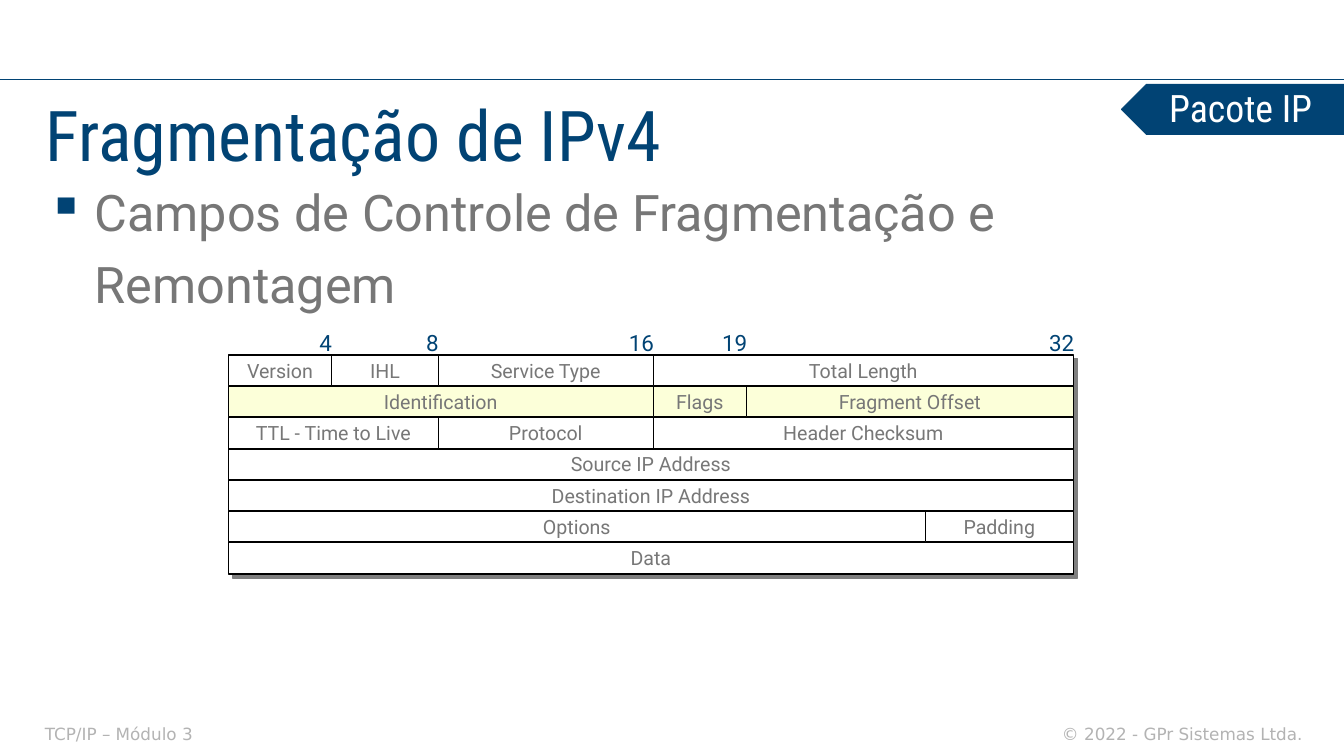
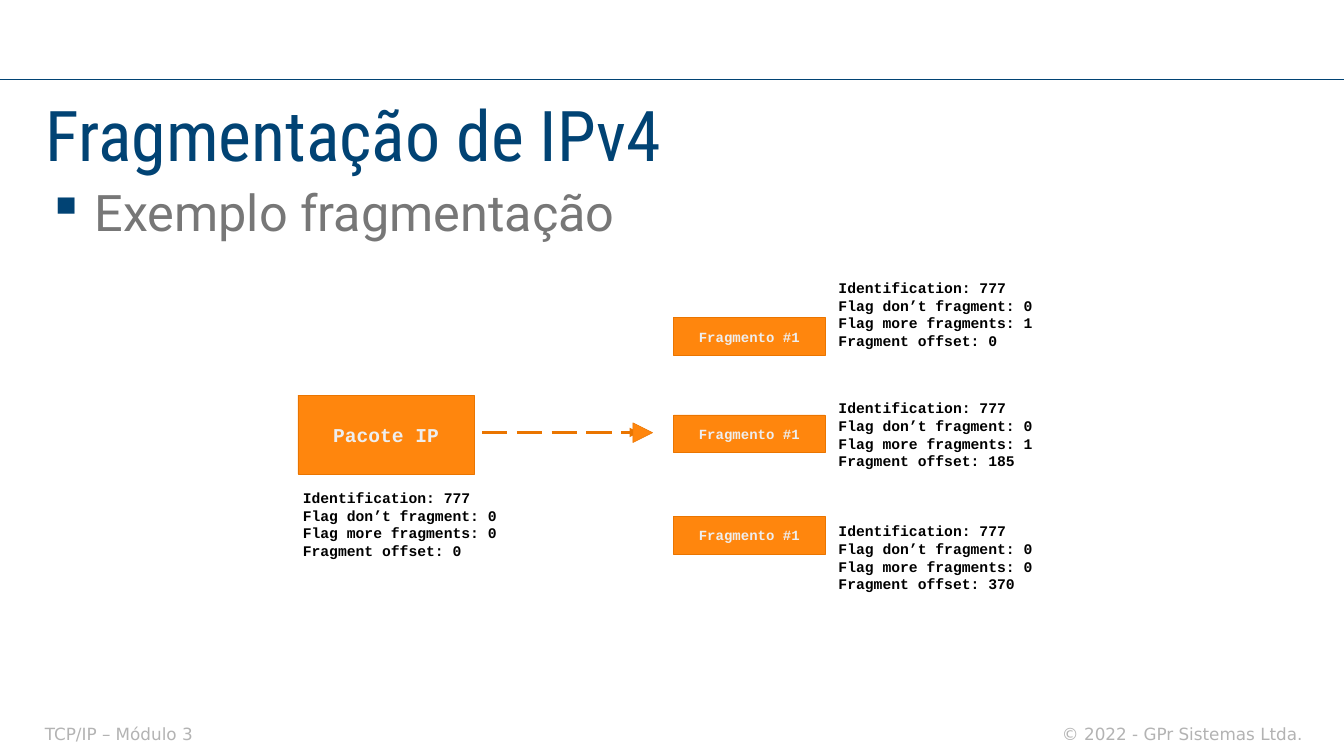
from pptx import Presentation
from pptx.dml.color import RGBColor
from pptx.enum.dml import MSO_LINE_DASH_STYLE as DASH
from pptx.enum.shapes import MSO_CONNECTOR as LINK, MSO_SHAPE as SHAPE
from pptx.enum.text import MSO_ANCHOR as ANCHOR, PP_ALIGN as ALIGN
from pptx.oxml.ns import qn
from pptx.util import Inches, Pt
from lxml.etree import SubElement

COLORS = {
    "navy": "014374", "gray": "777777", "footer": "B3B3B3", "white": "FFFFFF",
    "black": "000000", "highlight": "FCFFD9", "shadow": "7F7F7F",
    "orange": "FF860D", "orange_edge": "EA7500", "pale": "EEEEEE",
}
STYLES = {
    "title": ("Roboto Condensed", 100, "navy", False),
    "topic": ("Roboto", 72, "gray", False),
    "footer": ("DejaVu Sans", 24, "footer", False),
    "tag": ("Roboto Condensed", 54, "white", False),
    "field": ("Roboto", 28, "gray", False),
    "bit": ("Roboto", 32, "navy", False),
    "packet": ("Courier New", 28, "pale", True),
    "fragment": ("Courier New", 20, "pale", True),
    "note": ("Courier New", 21, "black", True),
}

SLIDE_W, SLIDE_H = 26.67, 15
TITLE = "Fragmentação de IPv4"
FOOTERS = [
    ("TCP/IP – Módulo 3", (0.83, 14.29, 19.08, 0.52), ALIGN.LEFT),
    ("© 2022 - GPr Sistemas Ltda.", (20.58, 14.29, 5.33, 0.52), ALIGN.RIGHT),
]

FIELDS_TOPIC = "Campos de Controle de Fragmentação e Remontagem"
TAG = "Pacote IP"
BIT_EDGES = {0: 4.53, 4: 6.58, 8: 8.7, 16: 12.96, 19: 14.81, 28: 18.36, 32: 21.3}
BIT_LABELS = [4, 8, 16, 19, 32]
HEADER_ROWS = [
    [("Version", 0, 4), ("IHL", 4, 8), ("Service Type", 8, 16), ("Total Length", 16, 32)],
    [("Identification", 0, 16), ("Flags", 16, 19), ("Fragment Offset", 19, 32)],
    [("TTL - Time to Live", 0, 8), ("Protocol", 8, 16), ("Header Checksum", 16, 32)],
    [("Source IP Address", 0, 32)],
    [("Destination IP Address", 0, 32)],
    [("Options", 0, 28), ("Padding", 28, 32)],
    [("Data", 0, 32)],
]
FRAGMENTATION_ROW = 1
ROW_TOP, ROW_PITCH, ROW_H = 7.05, 0.62, 0.6

EXAMPLE_TOPIC = "Exemplo fragmentação"
PACKET = "Pacote IP"
PACKET_BOX = (5.91, 7.84, 3.5, 1.57)
FRAGMENT = "Fragmento #1"
FRAGMENT_TOPS = [6.3, 8.23, 10.24]
NOTES = [
    (5.91, 9.65, 0, 0),
    (16.54, 5.48, 1, 0),
    (16.54, 7.87, 1, 185),
    (16.54, 10.31, 0, 370),
]


def rgb(color):
    return RGBColor.from_string(COLORS[color])


def write(shape, lines, style, align=ALIGN.LEFT, anchor=ANCHOR.TOP, inset=(0.1, 0.05)):
    frame = shape.text_frame
    side, end = map(Inches, inset)
    layout = {
        "word_wrap": True, "vertical_anchor": anchor,
        "margin_left": side, "margin_right": side,
        "margin_top": end, "margin_bottom": end,
    }
    for key, value in layout.items():
        setattr(frame, key, value)
    font_name, size, color, bold = STYLES[style]
    for i, line in enumerate(lines):
        paragraph = frame.add_paragraph() if i else frame.paragraphs[0]
        paragraph.alignment = align
        run = paragraph.add_run()
        run.text = line
        for key, value in {"name": font_name, "size": Pt(size), "bold": bold}.items():
            setattr(run.font, key, value)
        run.font.color.rgb = rgb(color)
    return frame


def add_text(slide, box, lines, style, **layout):
    return write(slide.shapes.add_textbox(*map(Inches, box)), lines, style, **layout)


def add_box(slide, box, fill, line, width, kind=SHAPE.RECTANGLE):
    shape = slide.shapes.add_shape(kind, *map(Inches, box))
    shape.shadow.inherit = False
    shape.fill.solid()
    shape.fill.fore_color.rgb = rgb(fill)
    shape.line.color.rgb = rgb(line)
    shape.line.width = Pt(width)
    return shape


def add_line(slide, start, end, color, width):
    line = slide.shapes.add_connector(LINK.STRAIGHT, *map(Inches, start + end))
    line.line.color.rgb = rgb(color)
    line.line.width = Pt(width)
    SubElement(line._element.spPr, qn("a:effectLst"))
    return line


def add_base(deck, topic, topic_h):
    slide = deck.slides.add_slide(deck.slide_layouts[6])
    add_line(slide, (0, 1.58), (SLIDE_W, 1.58), "navy", 2)
    for text, box, align in FOOTERS:
        add_text(slide, box, [text], "footer", align=align, anchor=ANCHOR.MIDDLE,
                 inset=(0.06, 0.06))
    add_text(slide, (0.84, 1.75, 25.01, 1.8), [TITLE], "title", inset=(0.06, 0.06))
    frame = add_text(slide, (0.84, 3.3, 25.01, topic_h), [topic], "topic")
    paragraph = frame.paragraphs[0]
    properties = paragraph._p.get_or_add_pPr()
    properties.set("marL", str(Inches(0.94)))
    properties.set("indent", str(Inches(-0.94)))
    bullet_color = SubElement(properties, qn("a:buClr"))
    SubElement(bullet_color, qn("a:srgbClr"), val=COLORS["navy"])
    SubElement(properties, qn("a:buChar"), char="▪")
    paragraph.line_spacing = 1.2
    return slide


def add_tag(slide):
    left = 22.25
    tag = add_box(slide, (left, 1.67, SLIDE_W - left, 1), "navy", "navy", 1, SHAPE.PENTAGON)
    tag.rotation = 180
    add_text(slide, (22.98, 1.18, 3.28, 1.91), [TAG], "tag", align=ALIGN.CENTER,
             anchor=ANCHOR.MIDDLE, inset=(0.06, 0.06))


def add_header_frame(slide):
    left = BIT_EDGES[0]
    frame = add_box(slide, (left, 7.04, BIT_EDGES[32] - left, 4.35), "white", "black", 2)
    effects = frame._element.spPr.find(qn("a:effectLst"))
    shadow = SubElement(effects, qn("a:outerShdw"), blurRad="0", dist=str(Pt(8)),
                        dir=str(45 * 60000), algn="tl", rotWithShape="0")
    SubElement(shadow, qn("a:srgbClr"), val=COLORS["shadow"])


def build_fields(deck):
    slide = add_base(deck, FIELDS_TOPIC, 11)
    add_tag(slide)
    add_header_frame(slide)
    for i, row in enumerate(HEADER_ROWS):
        fill = "highlight" if i == FRAGMENTATION_ROW else "white"
        for name, first, last in row:
            left = BIT_EDGES[first]
            box = (left, ROW_TOP + i * ROW_PITCH, BIT_EDGES[last] - left, ROW_H)
            write(add_box(slide, box, fill, "black", 1), [name], "field",
                  align=ALIGN.CENTER, anchor=ANCHOR.MIDDLE, inset=(0.1, 0.1))
    for bit in BIT_LABELS:
        digits = len(str(bit))
        left = BIT_EDGES[bit] - 0.1 - 0.24 * digits
        add_text(slide, (left, 6.48, 0.4 + 0.55 * digits, 0.6), [str(bit)], "bit")


def build_example(deck):
    slide = add_base(deck, EXAMPLE_TOPIC, 1.95)
    boxes = [(PACKET, PACKET_BOX, "packet")]
    boxes += [(FRAGMENT, (13.37, top, 3, 0.75), "fragment") for top in FRAGMENT_TOPS]
    for text, box, style in boxes:
        write(add_box(slide, box, "orange", "orange_edge", 0), [text], style,
              align=ALIGN.CENTER, anchor=ANCHOR.MIDDLE)
    for left, top, more, offset in NOTES:
        lines = ["Identification: 777", "Flag don’t fragment: 0",
                 f"Flag more fragments: {more}", f"Fragment offset: {offset}"]
        add_text(slide, (left, top, 4.33, 1.81), lines, "note")
    arrow = add_line(slide, (9.57, 8.58), (12.68, 8.58), "orange_edge", 4.5)
    arrow.line.dash_style = DASH.LONG_DASH
    SubElement(arrow.line._get_or_add_ln(), qn("a:tailEnd"), type="triangle")
    tip = add_box(slide, (12.56, 8.39, 0.39, 0.39), "orange", "orange_edge", 0,
                  SHAPE.ISOSCELES_TRIANGLE)
    tip.rotation = 90


def main():
    deck = Presentation()
    deck.slide_width, deck.slide_height = Inches(SLIDE_W), Inches(SLIDE_H)
    build_fields(deck)
    build_example(deck)
    deck.save("out.pptx")


if __name__ == "__main__":
    main()
